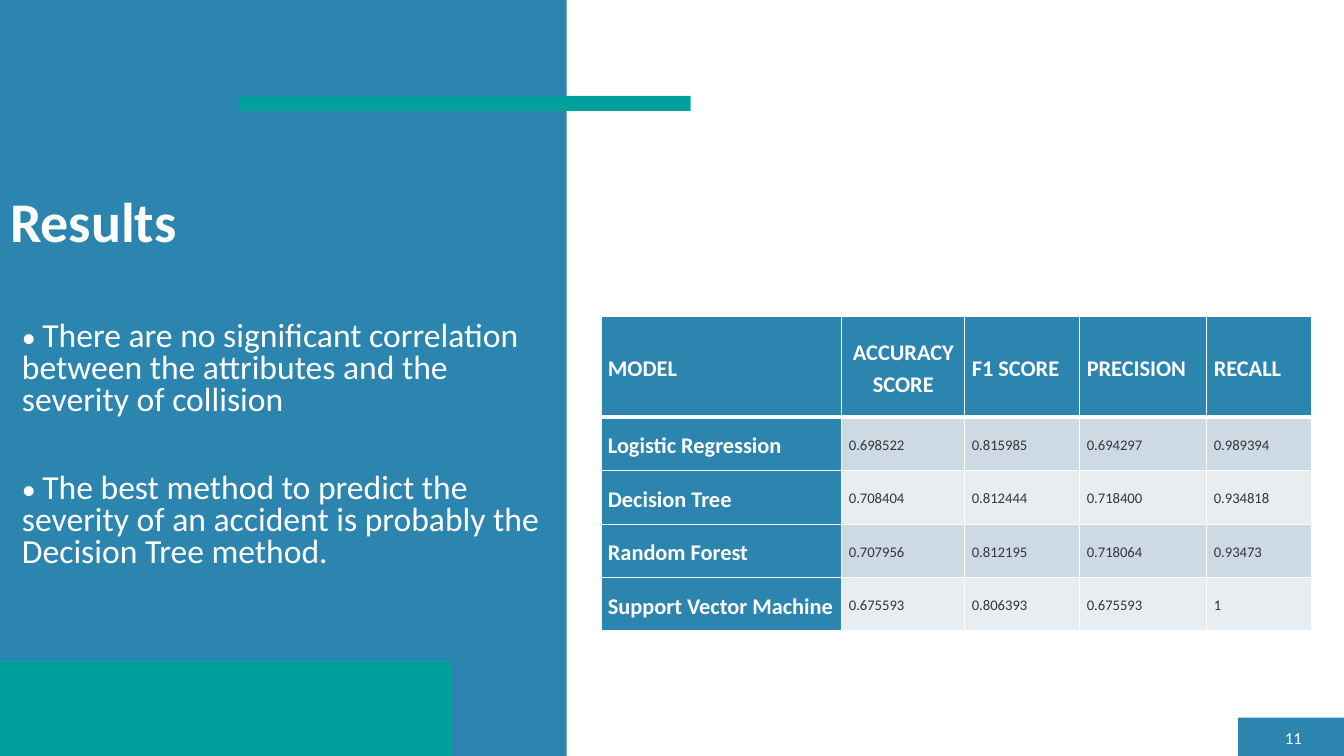
from lxml.etree import SubElement
from pptx import Presentation
from pptx.dml.color import RGBColor
from pptx.enum.shapes import MSO_SHAPE
from pptx.enum.text import MSO_ANCHOR, MSO_AUTO_SIZE, PP_ALIGN
from pptx.oxml.ns import qn
from pptx.util import Pt

SCALE = 9144
BLUE, TEAL, WHITE, INK = "2C85AE", "00A09D", "FFFFFF", "32363F"
BANDS = "CDD9E3", "E8EDF2"
HEADS = ["MODEL", "ACCURACY\nSCORE", "F1 SCORE", "PRECISION", "RECALL"]
SCORES = [
    ["Logistic Regression", "0.698522", "0.815985", "0.694297", "0.989394"],
    ["Decision Tree", "0.708404", "0.812444", "0.718400", "0.934818"],
    ["Random Forest", "0.707956", "0.812195", "0.718064", "0.93473"],
    ["Support Vector Machine", "0.675593", "0.806393", "0.675593", "1"],
]
POINTS = [
    "There are no significant correlation between the attributes and the "
    "severity of collision",
    "The best method to predict the severity of an accident is probably the "
    "Decision Tree method.",
]


def px(*sizes):
    return [size * SCALE for size in sizes]


def tint(code):
    return RGBColor.from_string(code)


class Deck:
    font = "Calibri"

    def __init__(self, wide, high):
        self.file = Presentation()
        self.file.slide_width, self.file.slide_height = px(wide, high)
        self.slide = self.file.slides.add_slide(self.file.slide_layouts[5])
        self.shapes = self.slide.shapes

    def run(self, para, text, size, color=WHITE, bold=False):
        run = para.add_run()
        run.text = text
        run.font.name, run.font.size = self.font, Pt(size)
        run.font.bold, run.font.color.rgb = bold, tint(color)

    def block(self, box, color):
        shape = self.shapes.add_shape(MSO_SHAPE.RECTANGLE, *px(*box))
        shape.shadow.inherit = False
        shape.fill.solid()
        shape.fill.fore_color.rgb = tint(color)
        shape.line.fill.background()

    def title(self, box, text):
        title = self.shapes.title
        title.left, title.top, title.width, title.height = px(*box)
        title.element.getparent().append(title.element)
        frame = title.text_frame
        frame.auto_size = MSO_AUTO_SIZE.NONE
        frame.vertical_anchor = MSO_ANCHOR.BOTTOM
        para = frame.paragraphs[0]
        para.alignment, para.line_spacing = PP_ALIGN.LEFT, 0.9
        self.run(para, text, 40, bold=True)

    def frame(self, box, anchor=MSO_ANCHOR.TOP):
        frame = self.shapes.add_textbox(*px(*box)).text_frame
        frame.word_wrap = True
        frame.vertical_anchor = anchor
        return frame

    def points(self, box, items):
        frame = self.frame(box)
        for spot, item in enumerate(items):
            para = frame.add_paragraph() if spot else frame.paragraphs[0]
            para.line_spacing = 0.8
            para.space_before = Pt(39.5 if spot else 10)
            self.run(para, "• ", 20)
            self.run(para, item, 24)

    def number(self, box, text):
        para = self.frame(box, MSO_ANCHOR.MIDDLE).paragraphs[0]
        para.alignment = PP_ALIGN.RIGHT
        self.run(para, text, 12)

    def edges(self, cell, top, base):
        props = cell._tc.get_or_add_tcPr()
        widths = {"a:lnL": 1, "a:lnR": 1, "a:lnT": top, "a:lnB": base}
        for spot, (tag, width) in enumerate(widths.items()):
            line = SubElement(props, qn(tag), w=str(Pt(width)))
            fill = SubElement(line, qn("a:solidFill"))
            SubElement(fill, qn("a:srgbClr"), val=WHITE)
            props.insert(spot, line)

    def cell(self, cell, text, fill, size, color, bold):
        cell.fill.solid()
        cell.fill.fore_color.rgb = tint(fill)
        cell.vertical_anchor = MSO_ANCHOR.MIDDLE
        cell.margin_left, cell.margin_right = px(7, 7)
        cell.margin_top = cell.margin_bottom = 0
        para = cell.text_frame.paragraphs[0]
        para.line_spacing, para.space_after = 1.15, Pt(10)
        lines = text.split("\n")
        if len(lines) > 1:
            para.alignment = PP_ALIGN.CENTER
        for spot, line in enumerate(lines):
            if spot:
                para.add_line_break()
            self.run(para, line, size, color, bold)

    def table(self, spot, cols, rows, data):
        box = px(*spot, sum(cols), sum(rows))
        table = self.shapes.add_table(len(rows), len(cols), *box).table
        table.horz_banding = False
        for col, width in zip(table.columns, px(*cols)):
            col.width = width
        for row, height in zip(table.rows, px(*rows)):
            row.height = height
        for r, line in enumerate(data):
            for c, text in enumerate(line):
                cell = table.cell(r, c)
                if r and c:
                    self.cell(cell, text, BANDS[(r - 1) % 2], 10.5, INK, False)
                else:
                    self.cell(cell, text, BLUE, 16, WHITE, True)
                self.edges(cell, 3 if r == 1 else 1, 1 if r else 3)

    def save(self):
        self.file.save("out.pptx")


def main():
    deck = Deck(1333, 750)
    deck.block((1228, 712, 105, 38), BLUE)
    deck.block((0, 0, 562, 750), BLUE)
    deck.block((0, 656, 448, 94), TEAL)
    deck.block((237, 95, 448, 15), TEAL)
    deck.title((0, 167, 562, 91), "Results")
    deck.points((12, 314, 537, 280), POINTS)
    deck.number((1260, 720, 41, 23), "11")
    deck.table((596, 314), [239, 122, 114, 126, 104], [100] + [53] * 4,
               [HEADS] + SCORES)
    deck.save()


if __name__ == "__main__":
    main()
